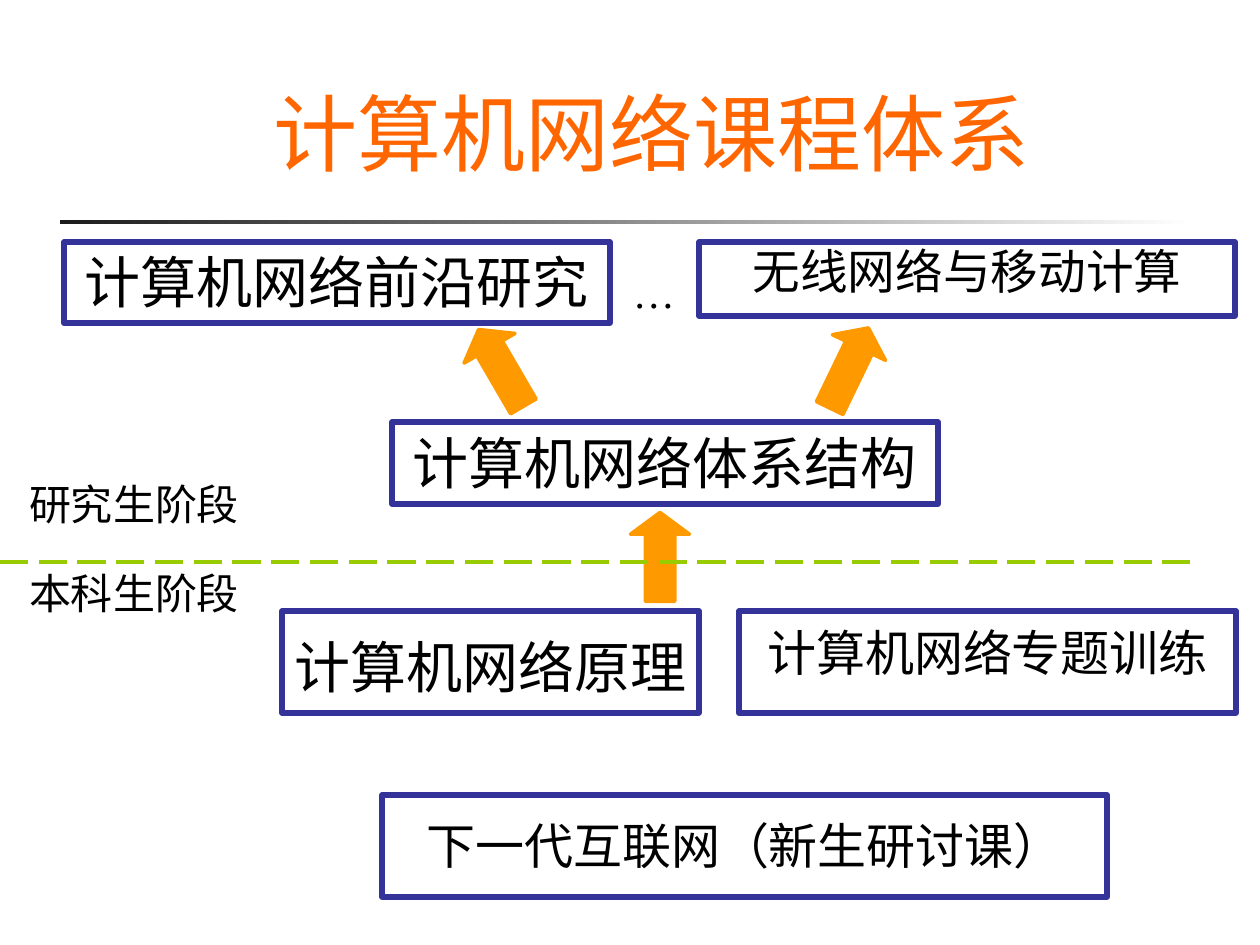
from lxml import etree
from pptx import Presentation
from pptx.dml.color import RGBColor
from pptx.enum import dml, shapes, text
from pptx.oxml import ns
from pptx.util import Pt

PX = 914400 / 126

ORANGE = RGBColor(0xFF, 0x66, 0x00)
AMBER = RGBColor(0xFF, 0x99, 0x00)
NAVY = RGBColor(0x33, 0x33, 0x99)
GREEN = RGBColor(0x99, 0xCC, 0x00)
BLACK = RGBColor(0, 0, 0)
CHARCOAL = RGBColor(0x1C, 0x1C, 0x1C)
WHITE = RGBColor(0xFF, 0xFF, 0xFF)

TITLE = "计算机网络课程体系"
TITLE_PLACE = (116, 63, 1071, 125)
RULE_PLACE = (60, 220, 1134, 4)
DIVIDER_Y, DIVIDER_END = 562, 1201
ARROW_SIZE = (89, 59)

# Insets in px: left, top, right, bottom
NORMAL = (13, 6, 13, 6)
LOWERED = (0, 15, 0, 6)

# Course, place, font size, line spacing, space before, insets
COURSES = [
    ("计算机网络原理", (282, 611, 417, 102), 32, 1.1, 0, LOWERED),
    ("计算机网络体系结构", (392, 422, 546, 82), 32, 1, 20, NORMAL),
    ("计算机网络前沿研究", (64, 242, 546, 81), 32, 1, 20, NORMAL),
    ("无线网络与移动计算", (699, 242, 536, 74), 27.2, 0.9, 20, NORMAL),
    ("计算机网络专题训练", (739, 611, 497, 102), 28, 1.1, 0, NORMAL),
    ("下一代互联网（新生研讨课）", (382, 795, 725, 102), 28, 1.1, 0, LOWERED),
]
# Arrow centre and rotation
ARROWS = [((660, 557), 90), ((501, 368), 59.8), ((849, 368), 115.8)]
# Label, place, alignment
LABELS = [
    ("本科生阶段", (0, 562, 268, 63), text.PP_ALIGN.CENTER),
    ("研究生阶段", (0, 473, 268, 63), text.PP_ALIGN.CENTER),
    ("…", (620, 261, 69, 63), text.PP_ALIGN.LEFT),
]


def emu(*lengths):
    return [round(length * PX) for length in lengths]


def write(shape, words, size, spacing=1, before=0, insets=NORMAL,
          align=text.PP_ALIGN.CENTER, color=BLACK, font="Times New Roman"):
    frame = shape.text_frame
    frame.word_wrap = True
    frame.vertical_anchor = text.MSO_ANCHOR.TOP
    (frame.margin_left, frame.margin_top,
     frame.margin_right, frame.margin_bottom) = emu(*insets)
    frame.text = words
    paragraph = frame.paragraphs[0]
    paragraph.alignment = align
    paragraph.line_spacing = spacing
    paragraph.space_before = Pt(before)
    paragraph.font.size = Pt(size)
    paragraph.font.name = font
    paragraph.font.color.rgb = color
    return frame


def add_plain_shape(slide, kind, place):
    shape = slide.shapes.add_shape(kind, *emu(*place))
    shape.shadow.inherit = False
    return shape


def add_course(slide, words, place, *style):
    box = add_plain_shape(slide, shapes.MSO_SHAPE.RECTANGLE, place)
    box.fill.background()
    box.line.color.rgb = NAVY
    box.line.width = Pt(3)
    write(box, words, *style)


def add_arrow(slide, centre, rotation):
    width, height = ARROW_SIZE
    place = (centre[0] - width / 2, centre[1] - height / 2, width, height)
    arrow = add_plain_shape(slide, shapes.MSO_SHAPE.LEFT_ARROW, place)
    arrow.adjustments[0] = 0.5
    arrow.adjustments[1] = 0.37
    arrow.rotation = rotation
    arrow.fill.solid()
    arrow.fill.fore_color.rgb = AMBER
    arrow.line.color.rgb = AMBER
    arrow.line.width = Pt(2)


def main():
    presentation = Presentation()
    presentation.slide_width, presentation.slide_height = emu(1260, 945)
    slide = presentation.slides.add_slide(presentation.slide_layouts[5])

    # Title
    title = slide.shapes.title
    title.left, title.top, title.width, title.height = emu(*TITLE_PLACE)
    frame = write(title, TITLE, 48, color=ORANGE, font="Roboto")
    frame.vertical_anchor = text.MSO_ANCHOR.BOTTOM
    frame.auto_size = text.MSO_AUTO_SIZE.NONE

    # Fading rule under the title
    rule = add_plain_shape(slide, shapes.MSO_SHAPE.RECTANGLE, RULE_PLACE)
    rule.line.fill.background()
    rule.fill.gradient()
    rule.fill.gradient_angle = 0
    for stop, color in zip(rule.fill.gradient_stops, (CHARCOAL, WHITE)):
        stop.color.rgb = color

    # Courses and the arrows between them
    for course in COURSES:
        add_course(slide, *course)
    for arrow in ARROWS:
        add_arrow(slide, *arrow)

    # Divider between the two stages
    divider = slide.shapes.add_connector(
        shapes.MSO_CONNECTOR.STRAIGHT,
        *emu(0, DIVIDER_Y, DIVIDER_END, DIVIDER_Y))
    divider.line.color.rgb = GREEN
    divider.line.width = Pt(2)
    divider.line.dash_style = dml.MSO_LINE.LONG_DASH
    etree.SubElement(divider.element.spPr, ns.qn("a:effectLst"))

    # Stage labels and the ellipsis
    for words, place, align in LABELS:
        label = slide.shapes.add_textbox(*emu(*place))
        frame = write(label, words, 24, before=15, align=align)
        frame.auto_size = text.MSO_AUTO_SIZE.SHAPE_TO_FIT_TEXT

    presentation.save("out.pptx")


if __name__ == "__main__":
    main()
